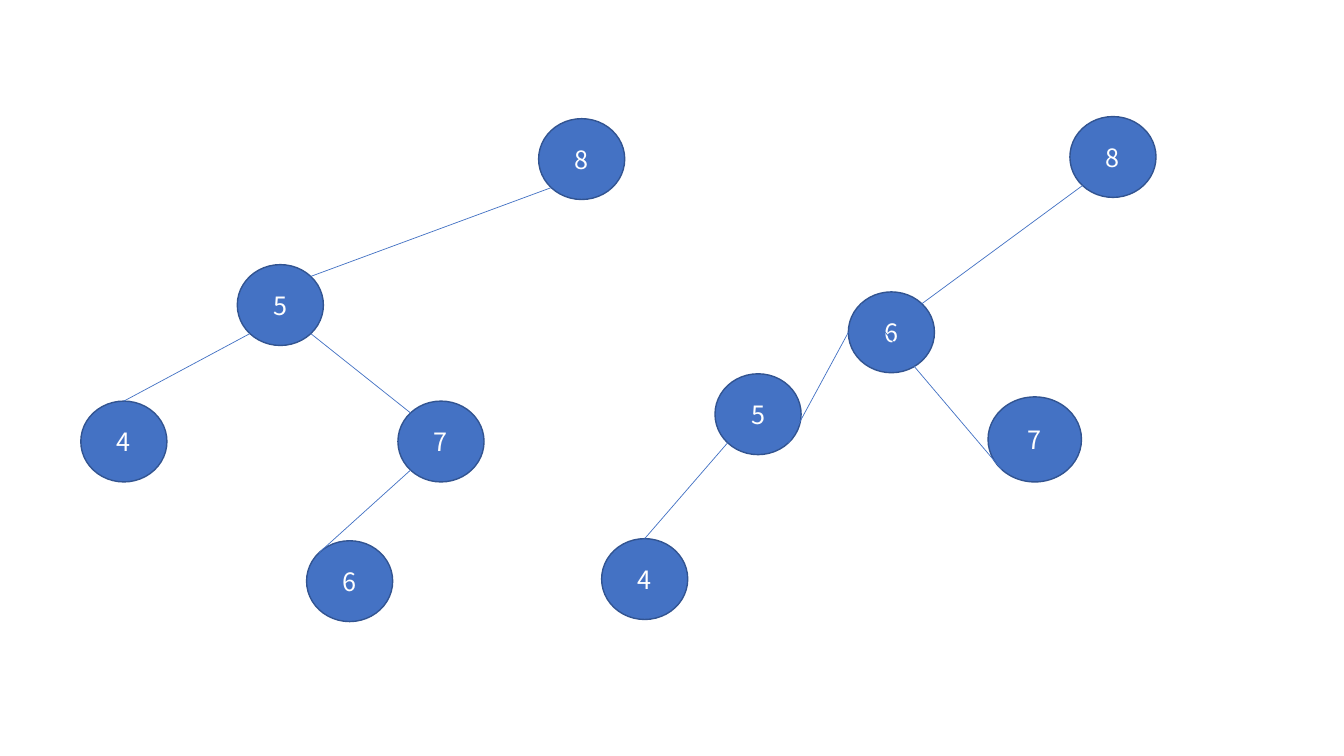
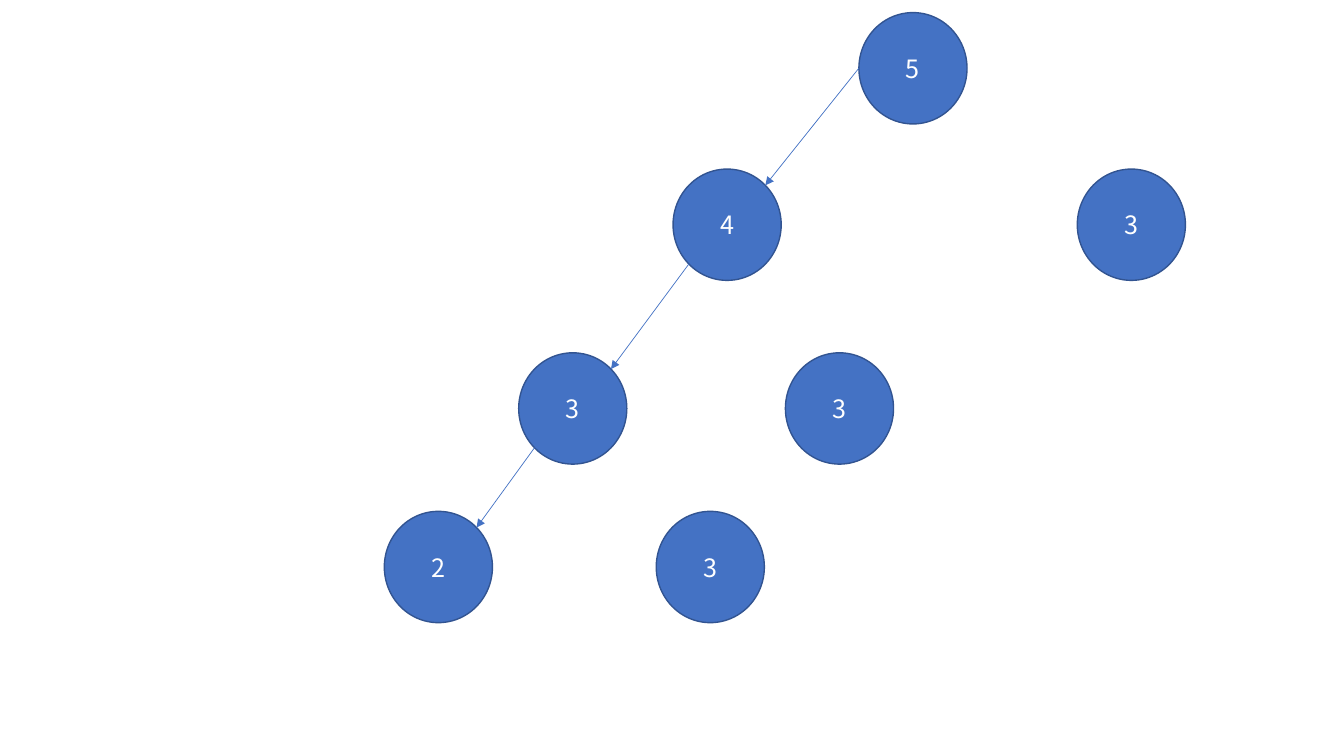
from dataclasses import dataclass
from enum import IntEnum
from math import cos, pi, sin

from lxml import etree
from pptx import Presentation
from pptx.dml.color import RGBColor
from pptx.enum.shapes import MSO_CONNECTOR, MSO_SHAPE
from pptx.enum.text import MSO_ANCHOR, PP_ALIGN
from pptx.oxml.ns import qn
from pptx.util import Emu, Pt

ELLIPSE = MSO_SHAPE.OVAL
STRAIGHT = MSO_CONNECTOR.STRAIGHT
MIDDLE = MSO_ANCHOR.MIDDLE
CENTER = PP_ALIGN.CENTER

BLUE = RGBColor(0x44, 0x72, 0xC4)
DARK_BLUE = RGBColor(0x32, 0x54, 0x91)
WHITE = RGBColor(0xFF, 0xFF, 0xFF)

EMU_PER_PX = 9525
SLIDE_W, SLIDE_H = 1280, 720
BLANK_LAYOUT = 6
LABEL_FONT = {"name": "Noto Sans CJK SC", "size": Pt(18)}


class Site(IntEnum):
    TOP = 0
    TOP_LEFT = 1
    LEFT = 2
    BOTTOM_LEFT = 3
    BOTTOM_RIGHT = 5
    TOP_RIGHT = 7


@dataclass(frozen=True)
class Node:
    label: str
    x: int
    y: int
    w: int = 82
    h: int = 77


@dataclass(frozen=True)
class Link:
    start: int
    start_site: Site
    end: int
    end_site: Site


@dataclass(frozen=True)
class Tree:
    nodes: tuple[Node, ...]
    links: tuple[Link, ...]
    arrows: bool = False


def big_node(label: str, x: int, y: int) -> Node:
    return Node(label, x, y, 103, 106)


UNBALANCED = Tree(
    nodes=(
        Node("8", 513, 113),
        Node("7", 379, 382),
        Node("6", 292, 515),
        Node("5", 226, 252),
        Node("4", 77, 382),
    ),
    links=(
        Link(0, Site.BOTTOM_LEFT, 3, Site.TOP_RIGHT),
        Link(1, Site.TOP_LEFT, 3, Site.BOTTOM_RIGHT),
        Link(3, Site.BOTTOM_LEFT, 4, Site.TOP),
        Link(2, Site.TOP_LEFT, 1, Site.BOTTOM_LEFT),
    ),
)

ROTATED = Tree(
    nodes=(
        Node("8", 1019, 111),
        Node("7", 941, 378, 89, 81),
        Node("6", 808, 278),
        Node("5", 681, 356),
        Node("4", 573, 513),
    ),
    links=(
        Link(0, Site.BOTTOM_LEFT, 2, Site.TOP_RIGHT),
        Link(2, Site.LEFT, 3, Site.BOTTOM_RIGHT),
        Link(3, Site.BOTTOM_LEFT, 4, Site.TOP),
        Link(2, Site.TOP_LEFT, 1, Site.BOTTOM_LEFT),
    ),
)

LEFT_CHAIN = Tree(
    nodes=(
        big_node("5", 818, 12),
        big_node("4", 641, 161),
        big_node("3", 494, 336),
        big_node("2", 366, 487),
        big_node("3", 1026, 161),
        big_node("3", 748, 336),
        big_node("3", 625, 487),
    ),
    links=(
        Link(0, Site.LEFT, 1, Site.TOP_RIGHT),
        Link(1, Site.BOTTOM_LEFT, 2, Site.TOP_RIGHT),
        Link(2, Site.BOTTOM_LEFT, 3, Site.TOP_RIGHT),
    ),
    arrows=True,
)

SLIDES = ((UNBALANCED, ROTATED), (LEFT_CHAIN,))


def px(n: float) -> Emu:
    return Emu(round(n * EMU_PER_PX))


def site_point(node: Node, site: Site) -> tuple[Emu, Emu]:
    angle = site * pi / 4
    x = node.x + node.w / 2 * (1 - sin(angle))
    y = node.y + node.h / 2 * (1 - cos(angle))
    return px(x), px(y)


def add_node(slide, node: Node):
    sp = slide.shapes.add_shape(ELLIPSE, px(node.x), px(node.y), px(node.w), px(node.h))
    sp.shadow.inherit = False
    sp.fill.solid()
    sp.fill.fore_color.rgb = BLUE
    sp.line.color.rgb = DARK_BLUE
    sp.line.width = Pt(1)
    tf = sp.text_frame
    tf.vertical_anchor = MIDDLE
    p = tf.paragraphs[0]
    p.alignment = CENTER
    r = p.add_run()
    r.text = node.label
    for name, value in LABEL_FONT.items():
        setattr(r.font, name, value)
    r.font.color.rgb = WHITE
    return sp


def add_link(slide, tree: Tree, link: Link, shapes: list) -> None:
    begin = site_point(tree.nodes[link.start], link.start_site)
    end = site_point(tree.nodes[link.end], link.end_site)
    cxn = slide.shapes.add_connector(STRAIGHT, *begin, *end)
    cxn.line.color.rgb = BLUE
    cxn.line.width = Pt(0.5)
    glue = cxn._element.nvCxnSpPr.cNvCxnSpPr
    for tag, node, site in (
        ("a:stCxn", link.start, link.start_site),
        ("a:endCxn", link.end, link.end_site),
    ):
        etree.SubElement(glue, qn(tag), id=str(shapes[node].shape_id), idx=str(int(site)))
    sp_pr = cxn._element.spPr
    if tree.arrows:
        etree.SubElement(sp_pr.find(qn("a:ln")), qn("a:tailEnd"), type="triangle")
    etree.SubElement(sp_pr, qn("a:effectLst"))


def add_tree(slide, tree: Tree) -> None:
    shapes = [add_node(slide, node) for node in tree.nodes]
    for link in tree.links:
        add_link(slide, tree, link, shapes)


def main() -> None:
    prs = Presentation()
    prs.slide_width, prs.slide_height = px(SLIDE_W), px(SLIDE_H)
    for trees in SLIDES:
        slide = prs.slides.add_slide(prs.slide_layouts[BLANK_LAYOUT])
        for tree in trees:
            add_tree(slide, tree)
    prs.save("out.pptx")


if __name__ == "__main__":
    main()
